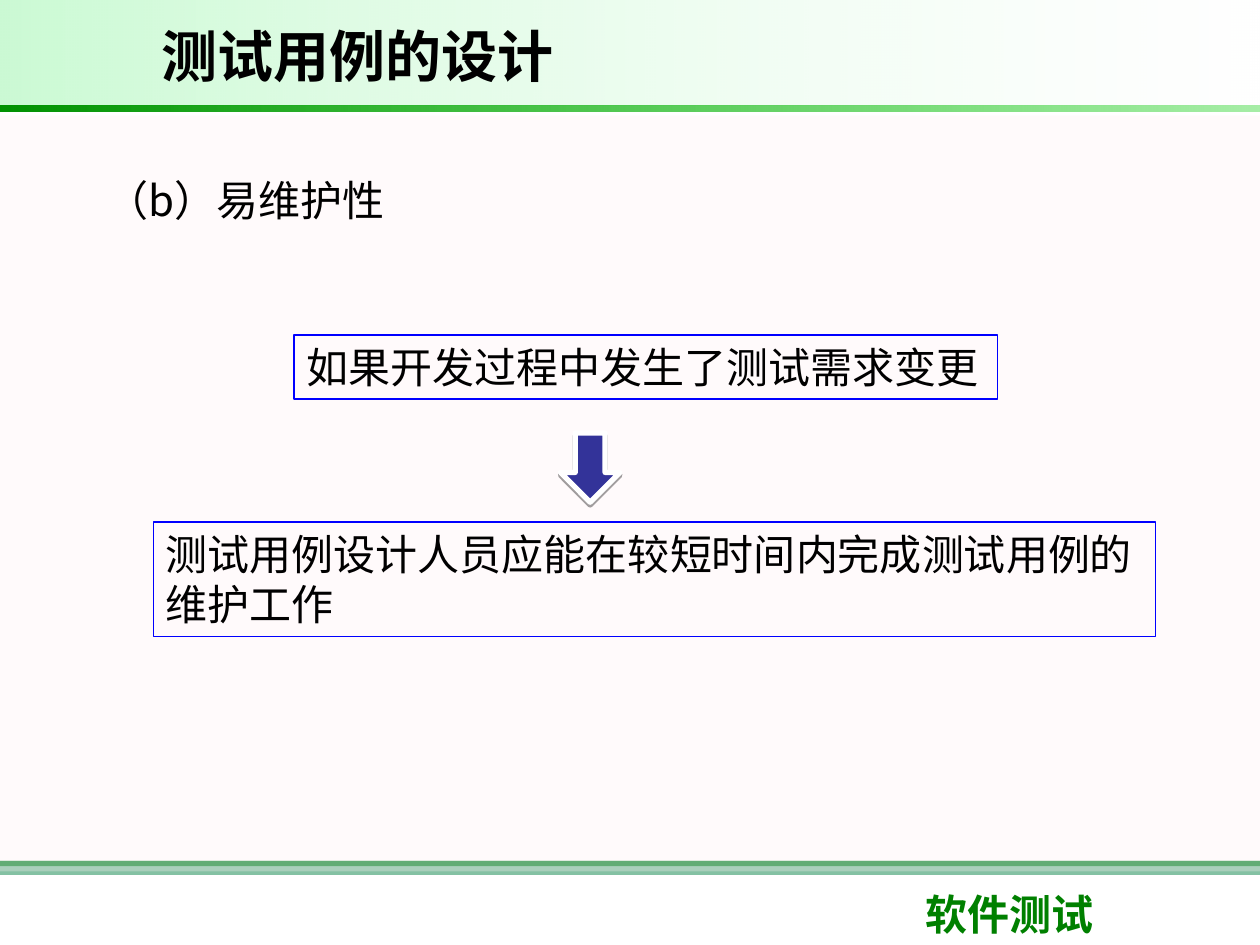
from lxml import etree
from pptx import Presentation
from pptx.dml.color import RGBColor
from pptx.enum.shapes import MSO_SHAPE as SHAPE
from pptx.enum.text import MSO_ANCHOR as ANCHOR
from pptx.oxml.ns import qn
from pptx.util import Pt

COLORS = {
    "white": "FFFFFF", "black": "000000", "green": "008000", "sea": "339966",
    "blush": "FFF0F5", "mint": "09E733", "lime": "00CC00", "forest": "009200",
    "blue": "0000FF", "indigo": "333399",
}
CJK = "Noto Sans CJK SC"


def rgb(name):
    return RGBColor.from_string(COLORS[name])


def set_alpha(parent, percents):
    """Give each colour below parent its opacity, in order."""
    for color, percent in zip(parent.iter(qn("a:srgbClr")), percents):
        etree.SubElement(color, qn("a:alpha"), val=str(percent * 1000))


def add_shape(s, kind, box):
    sp = s.shapes.add_shape(kind, *map(Pt, box))
    sp.shadow.inherit = False
    sp.line.fill.background()
    return sp


def add_band(s, box, color, alpha=100):
    sp = add_shape(s, SHAPE.RECTANGLE, box)
    sp.fill.solid()
    sp.fill.fore_color.rgb = rgb(color)
    if alpha < 100:
        set_alpha(sp.fill._xPr, [alpha])


def add_gradient_band(s, box, colors, alphas):
    """Add a band turned by 180 degrees, so the first colour is on the right."""
    sp = add_shape(s, SHAPE.RECTANGLE, box)
    sp.rotation = 180
    sp.fill.gradient()
    sp.fill.gradient_angle = 0
    for position, (stop, color) in enumerate(zip(sp.fill.gradient_stops, colors)):
        stop.position = position
        stop.color.rgb = rgb(color)
    set_alpha(sp.fill._xPr, alphas)


def write(sp, text, size=24, font=CJK, color="black", bold=False, anchor=ANCHOR.TOP):
    tf = sp.text_frame
    tf.word_wrap = True
    tf.vertical_anchor = anchor
    r = tf.paragraphs[0].add_run()
    r.text = text
    r.font.size = Pt(size)
    r.font.name = font
    r.font.bold = bold
    r.font.color.rgb = rgb(color)


def add_text(s, box, text, **style):
    write(s.shapes.add_textbox(*map(Pt, box)), text, **style)


def add_framed_text(s, box, text):
    sp = s.shapes.add_textbox(*map(Pt, box))
    sp.line.color.rgb = rgb("blue")
    sp.line.width = Pt(0.75)
    write(sp, text)


def add_down_arrow(s, box):
    sp = add_shape(s, SHAPE.DOWN_ARROW, box)
    sp.fill.solid()
    sp.fill.fore_color.rgb = rgb("indigo")
    sp.line.color.rgb = rgb("white")
    sp.line.width = Pt(3)
    effects = sp._element.spPr.find(qn("a:effectLst"))
    shadow = etree.SubElement(effects, qn("a:outerShdw"), dist="20000",
                              dir="5400000", rotWithShape="0")
    etree.SubElement(shadow, qn("a:srgbClr"), val=COLORS["black"])
    set_alpha(shadow, [36])


def main():
    prs = Presentation()
    prs.slide_width, prs.slide_height = Pt(720), Pt(540)
    s = prs.slides.add_slide(prs.slide_layouts[6])

    add_band(s, (0, 492, 720, 3), "green")
    add_band(s, (0, 492, 720, 8), "sea", 60)
    add_band(s, (0, 66, 720, 432), "blush", 30)
    add_text(s, (522, 504, 170.5, 36), "软件测试", font="Arial", color="green", bold=True)
    add_gradient_band(s, (0, 0, 719.5, 60), ("white", "mint"), (10, 21))
    add_gradient_band(s, (0, 60, 720, 3.75), ("lime", "forest"), (35, 100))

    add_text(s, (54, 96, 227, 36.5), "（b）易维护性")
    add_framed_text(s, (168, 191.5, 402, 36.5), "如果开发过程中发生了测试需求变更")
    add_framed_text(s, (87.75, 298.25, 572.5, 65.5),
                    "测试用例设计人员应能在较短时间内完成测试用例的维护工作")
    add_down_arrow(s, (320.25, 247.5, 34, 39.5))
    add_text(s, (85, 6, 502, 51), "测试用例的设计", size=32, font="Arial",
             bold=True, anchor=ANCHOR.MIDDLE)

    prs.save("out.pptx")


if __name__ == "__main__":
    main()
